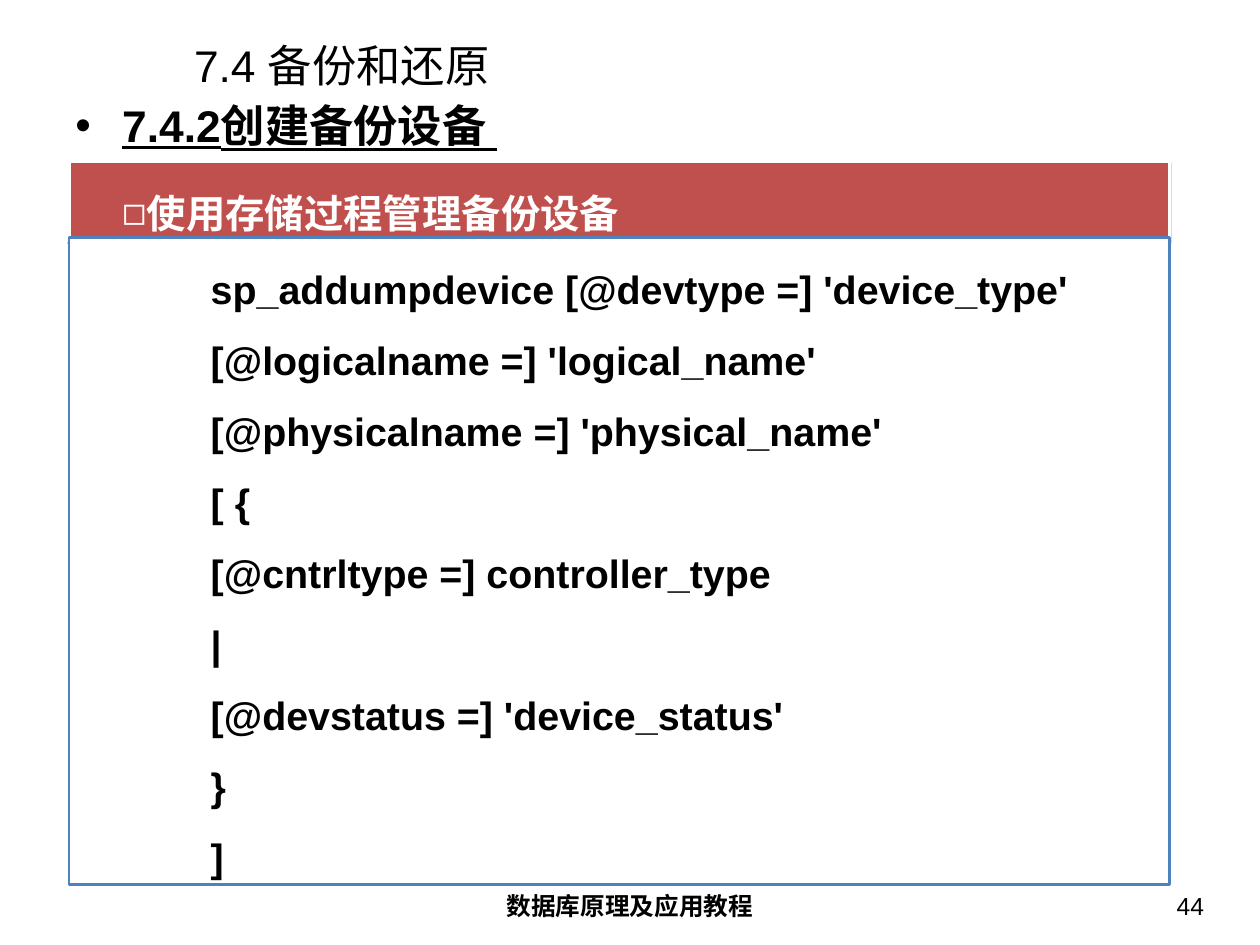
import pptx
import pptx.util
import pptx.dml.color
import pptx.enum.shapes
import pptx.enum.text
import lxml.etree

PX = 9144
FONT = "Arial"
BLACK = pptx.dml.color.RGBColor(0x00, 0x00, 0x00)
WHITE = pptx.dml.color.RGBColor(0xFF, 0xFF, 0xFF)
RED = pptx.dml.color.RGBColor(0xC0, 0x50, 0x4D)
BLUE = pptx.dml.color.RGBColor(0x4F, 0x81, 0xBD)
ALIGN = pptx.enum.text.PP_ALIGN
ANCHOR = pptx.enum.text.MSO_ANCHOR

TITLE_ONLY = 5
PLACEHOLDER_INSETS = (14, 7)
PANEL_INSETS = (10, 5)

PROCEDURE_SYNTAX = [
    "sp_addumpdevice [@devtype =] 'device_type'",
    "[@logicalname =] 'logical_name'",
    "[@physicalname =] 'physical_name'",
    "[ {",
    "[@cntrltype =] controller_type",
    "|",
    "[@devstatus =] 'device_status'",
    "}",
    "]",
]


def px(length):
    return pptx.util.Emu(length * PX)


def prepare_frame(frame, insets, anchor=ANCHOR.TOP):
    frame.word_wrap = True
    frame.auto_size = pptx.enum.text.MSO_AUTO_SIZE.NONE
    frame.vertical_anchor = anchor
    frame.margin_left = frame.margin_right = px(insets[0])
    frame.margin_top = frame.margin_bottom = px(insets[1])
    return frame


def indent(paragraph, left, first_line):
    properties = paragraph._p.get_or_add_pPr()
    properties.set("marL", str(px(left)))
    properties.set("indent", str(px(first_line)))
    return properties


def add_bullet(paragraph, mark, color, left, first_line):
    properties = indent(paragraph, left, first_line)
    namespace = properties.nsmap["a"]
    bullet_color = lxml.etree.SubElement(properties, f"{{{namespace}}}buClr")
    lxml.etree.SubElement(
        bullet_color, f"{{{namespace}}}srgbClr", val=str(color))
    lxml.etree.SubElement(properties, f"{{{namespace}}}buFont", typeface=FONT)
    lxml.etree.SubElement(properties, f"{{{namespace}}}buChar", char=mark)


def add_run(paragraph, text, size, color=BLACK, bold=False, underline=False):
    run = paragraph.add_run()
    run.text = text
    run.font.name = FONT
    run.font.size = pptx.util.Pt(size)
    run.font.color.rgb = color
    run.font.bold = bold
    run.font.underline = underline


def set_title(slide, text, left, top, width, height):
    title = slide.shapes.title
    title.left, title.top = px(left), px(top)
    title.width, title.height = px(width), px(height)
    frame = prepare_frame(title.text_frame, PLACEHOLDER_INSETS, ANCHOR.MIDDLE)
    paragraph = frame.paragraphs[0]
    paragraph.alignment = ALIGN.LEFT
    add_run(paragraph, text, 36)


def add_label(slide, left, top, width, height, align):
    box = slide.shapes.add_textbox(px(left), px(top), px(width), px(height))
    paragraph = prepare_frame(box.text_frame, PLACEHOLDER_INSETS).paragraphs[0]
    paragraph.alignment = align
    return paragraph


def add_panel(slide, left, top, width, height, fill, line, line_width):
    panel = slide.shapes.add_shape(
        pptx.enum.shapes.MSO_SHAPE.RECTANGLE,
        px(left), px(top), px(width), px(height))
    panel.shadow.inherit = False
    panel.fill.solid()
    panel.fill.fore_color.rgb = fill
    panel.line.color.rgb = line
    panel.line.width = pptx.util.Pt(line_width)
    prepare_frame(panel.text_frame, PANEL_INSETS)
    return panel


def add_drop_shadow(panel):
    effects = panel._element.spPr.find("{*}effectLst")
    effects.append(pptx.oxml.parse_xml(
        f'<a:outerShdw xmlns:a="{effects.nsmap["a"]}" blurRad="0" '
        'dist="20320" dir="5400000" rotWithShape="0">'
        '<a:srgbClr val="000000"><a:alpha val="38000"/></a:srgbClr>'
        '</a:outerShdw>'))


def format_panel_line(paragraph, level):
    paragraph.level = level
    paragraph.alignment = ALIGN.LEFT
    paragraph.line_spacing = 1.5


def main():
    presentation = pptx.Presentation()
    presentation.slide_width = px(1422)
    presentation.slide_height = px(1066)
    slide = presentation.slides.add_slide(
        presentation.slide_layouts[TITLE_ONLY])

    set_title(slide, "7.4 备份和还原", 205, 45, 1183, 57)

    section = add_label(slide, 71, 104, 1280, 89, ALIGN.LEFT)
    add_bullet(section, "•", BLACK, 53, -53)
    add_run(section, "7.4.2创建备份设备 ", 36, bold=True, underline=True)

    course = add_label(slide, 486, 998, 450, 55, ALIGN.CENTER)
    add_run(course, "数据库原理及应用教程", 20, bold=True)
    page_number = add_label(slide, 1041, 998, 332, 55, ALIGN.RIGHT)
    add_run(page_number, "44", 20)

    heading = add_panel(slide, 78, 182, 1242, 90, RED, WHITE, 3)
    add_drop_shadow(heading)
    topic = heading.text_frame.paragraphs[0]
    format_panel_line(topic, 1)
    add_bullet(topic, "◻", WHITE, 50, 0)
    add_run(topic, "使用存储过程管理备份设备", 32, WHITE, bold=True)

    syntax = add_panel(slide, 78, 268, 1242, 730, WHITE, BLUE, 2).text_frame
    for number, code in enumerate(PROCEDURE_SYNTAX):
        statement = syntax.add_paragraph() if number else syntax.paragraphs[0]
        format_panel_line(statement, 3)
        indent(statement, 150, 0)
        add_run(statement, code, 32, bold=True)

    presentation.save("out.pptx")


if __name__ == "__main__":
    main()
